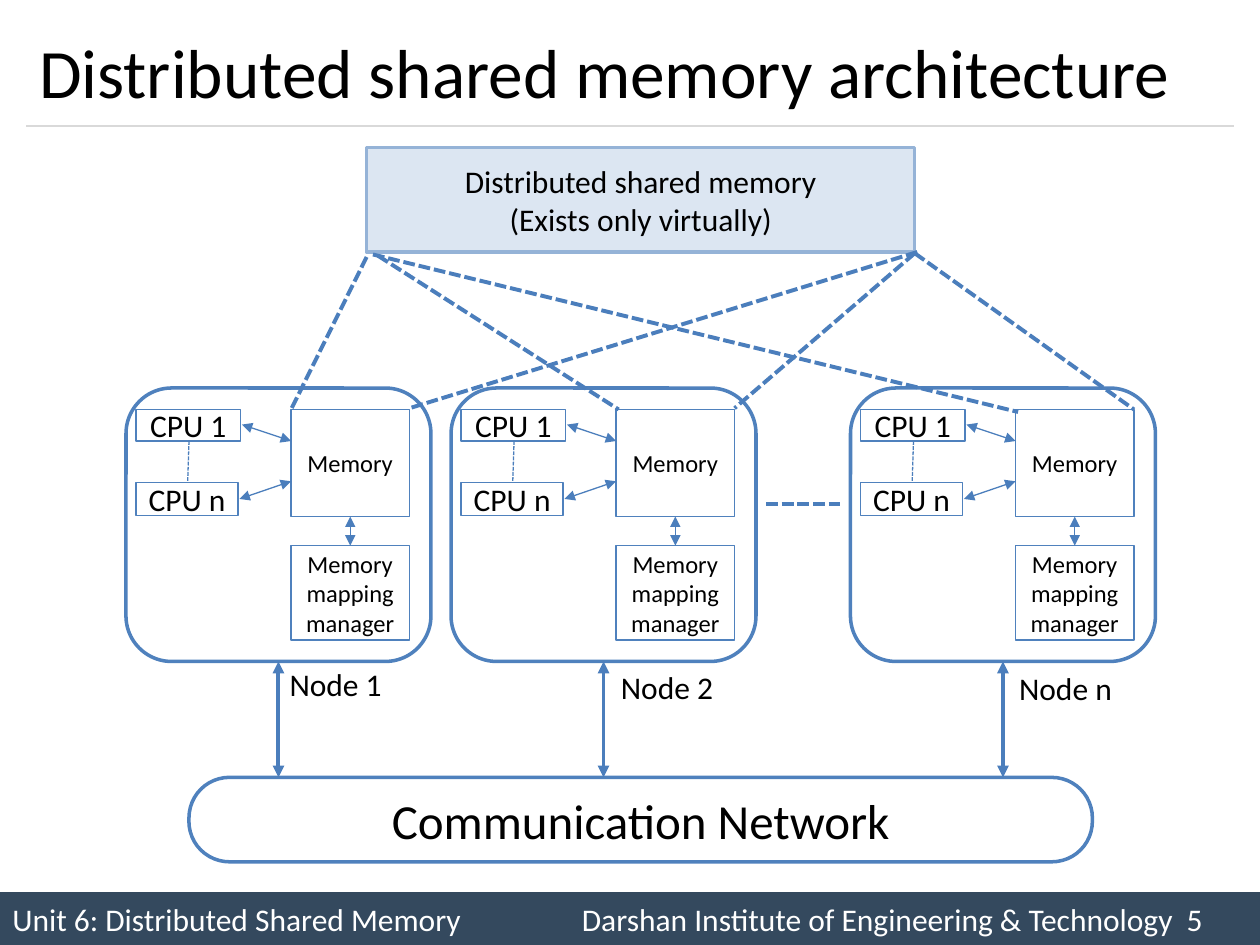
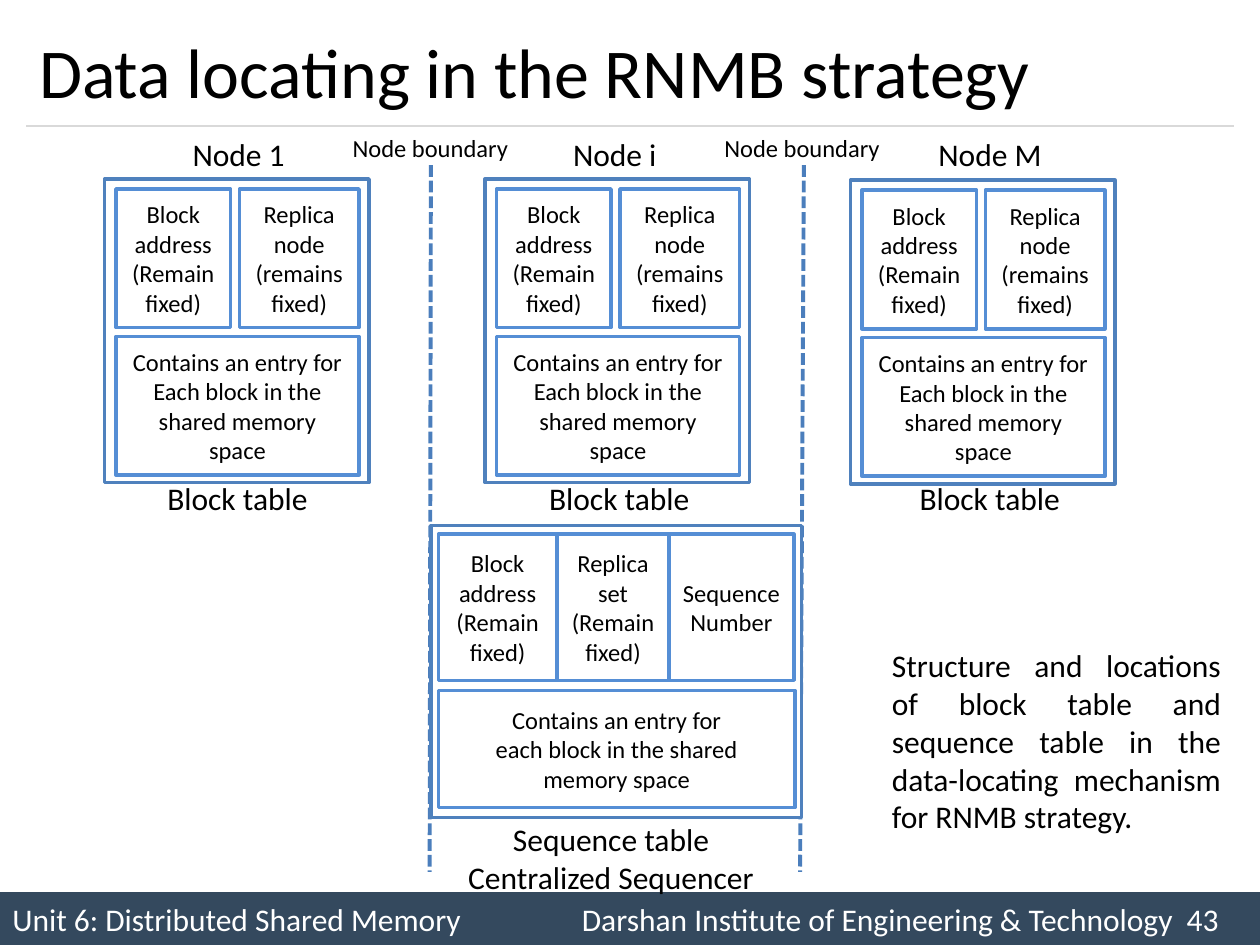
import pptx
import pptx.dml.color
import pptx.enum.dml
import pptx.enum.shapes
import pptx.enum.text
import pptx.oxml.ns
import pptx.util
from lxml import etree

Inches = pptx.util.Inches
Pt = pptx.util.Pt
RGBColor = pptx.dml.color.RGBColor
SHAPE = pptx.enum.shapes.MSO_SHAPE
ALIGN = pptx.enum.text.PP_ALIGN
ANCHOR = pptx.enum.text.MSO_ANCHOR
AUTO_SIZE = pptx.enum.text.MSO_AUTO_SIZE
qn = pptx.oxml.ns.qn

BLACK = RGBColor(0x00, 0x00, 0x00)
WHITE = RGBColor(0xFF, 0xFF, 0xFF)
NAVY = RGBColor(0x34, 0x49, 0x5E)
RULE_GREY = RGBColor(0xD9, 0xD9, 0xD9)
BLUE = RGBColor(0x4F, 0x81, 0xBD)
LINK_BLUE = RGBColor(0x4B, 0x7E, 0xBC)
CELL_BLUE = RGBColor(0x55, 0x8E, 0xD5)
PALE_BLUE = RGBColor(0xDC, 0xE6, 0xF2)
SOFT_BLUE = RGBColor(0x95, 0xB3, 0xD7)

FONT = "Calibri"
UNIT = "Unit 6: Distributed Shared Memory"
INSTITUTE = "Darshan Institute of Engineering & Technology"


def write(tf, text, size=18, color=BLACK, align=ALIGN.LEFT, tabs=()):
    """Fill a text frame, one paragraph per line of text."""
    for i, line in enumerate(text.split("\n")):
        p = tf.paragraphs[0] if i == 0 else tf.add_paragraph()
        p.alignment = align
        if tabs:
            tab_list = etree.SubElement(p._p.get_or_add_pPr(), qn("a:tabLst"))
            for pos in tabs:
                etree.SubElement(tab_list, qn("a:tab"), pos=str(Inches(pos)), algn="l")
        r = p.add_run()
        r.text = line
        r.font.name = FONT
        r.font.size = Pt(size)
        r.font.color.rgb = color


class Deck:
    def __init__(self, prs):
        self.prs = prs
        self.s = None

    def slide(self, title, number, size=40, align=ALIGN.LEFT):
        """Start a slide with its title, rule and footer band."""
        self.s = self.prs.slides.add_slide(self.prs.slide_layouts[5])
        sp = self.s.shapes.title
        sp.left, sp.top = Inches(0.21), Inches(0.12)
        sp.width, sp.height = Inches(9.58), Inches(0.88)
        tf = sp.text_frame
        tf.auto_size = AUTO_SIZE.NONE
        tf.vertical_anchor = ANCHOR.MIDDLE
        write(tf, title, size=size, align=align)
        self.box(0, 7.08, 10, 0.42, f"{UNIT}\t{INSTITUTE}\t{number}", fill=NAVY,
                 line=None, color=WHITE, align=ALIGN.LEFT, tabs=(4.52, 9.32))
        self.line((0.21, 1), (9.79, 1), color=RULE_GREY, width=0.75)

    def box(self, x, y, w, h, text="", fill=WHITE, line=BLUE, width=2,
            shape=SHAPE.RECTANGLE, adj=None, inset=0.1, align=ALIGN.CENTER, **fmt):
        sp = self.s.shapes.add_shape(shape, Inches(x), Inches(y), Inches(w), Inches(h))
        sp.shadow.inherit = False
        sp.fill.solid()
        sp.fill.fore_color.rgb = fill
        if line is None:
            sp.line.fill.background()
        else:
            sp.line.color.rgb = line
            sp.line.width = Pt(width)
        if adj is not None:
            sp.adjustments[0] = adj
        if text:
            tf = sp.text_frame
            tf.word_wrap = True
            tf.vertical_anchor = ANCHOR.MIDDLE
            tf.margin_left = tf.margin_right = Inches(inset)
            write(tf, text, align=align, **fmt)

    def label(self, x, y, w, h, text, wrap=False, **fmt):
        tf = self.s.shapes.add_textbox(Inches(x), Inches(y), Inches(w), Inches(h)).text_frame
        tf.word_wrap = wrap
        write(tf, text, **fmt)

    def line(self, start, end, color=LINK_BLUE, width=2.25, dashed=False, arrows=False):
        c = self.s.shapes.add_connector(
            pptx.enum.shapes.MSO_CONNECTOR.STRAIGHT,
            *(Inches(v) for v in (*start, *end)))
        c.line.color.rgb = color
        c.line.width = Pt(width)
        if dashed:
            c.line.dash_style = pptx.enum.dml.MSO_LINE.SQUARE_DOT
        if arrows:
            for end_tag in ("a:headEnd", "a:tailEnd"):
                etree.SubElement(c.line._get_or_add_ln(), qn(end_tag), type="triangle")
        etree.SubElement(c._element.spPr, qn("a:effectLst"))


def node(deck, x):
    """Draw one node: its CPUs, memory, mapping manager and network link."""
    deck.box(x, 3.08, 2.42, 2.17, shape=SHAPE.ROUNDED_RECTANGLE)
    mem = x + 1.31
    deck.box(mem, 3.25, 0.94, 0.85, "Memory", width=0.75, size=14)
    deck.box(mem, 4.33, 0.94, 0.75, "Memory mapping manager", width=0.75, size=14)
    deck.box(x + 0.08, 3.25, 0.83, 0.25, "CPU 1", width=0.75, inset=0.05)
    deck.box(x + 0.08, 3.83, 0.81, 0.26, "CPU n", width=0.75, inset=0.05)
    deck.line((x + 0.92, 3.37), (mem, 3.5), width=0.75, arrows=True)
    deck.line((x + 0.9, 3.96), (mem, 3.82), width=0.75, arrows=True)
    deck.line((x + 1.78, 4.33), (x + 1.78, 4.1), width=0.75, arrows=True)
    deck.line((x + 0.5, 3.5), (x + 0.49, 3.82), width=0.75, dashed=True)
    deck.line((x + 1.21, 5.25), (x + 1.21, 6.17), arrows=True)


def cell(deck, x, y, w, h, text, **fmt):
    deck.box(x, y, w, h, text, line=CELL_BLUE, size=14, **fmt)


def block_table(deck, x, y):
    deck.box(x, y, 2.1, 2.41)
    cell(deck, x + 0.09, y + 0.08, 0.91, 1.1, "Block address\n(Remain fixed)")
    cell(deck, x + 0.09, y + 1.25, 1.93, 1.1,
         "Contains an entry for\nEach block in the shared memory space", inset=0.12)
    cell(deck, x + 1.07, y + 0.08, 0.95, 1.1, "Replica\nnode\n(remains\nfixed)")


def sequence_table(deck):
    deck.box(3.42, 4.17, 2.94, 2.32)
    cell(deck, 3.48, 4.24, 0.94, 1.16, "Block address\n(Remain fixed)")
    cell(deck, 3.48, 5.48, 2.83, 0.93,
         "Contains an entry for\neach block in the shared memory space", inset=0.15)
    cell(deck, 5.31, 4.24, 0.99, 1.16, "Sequence Number")
    cell(deck, 4.42, 4.24, 0.89, 1.16, "Replica set\n(Remain fixed)")


def architecture_slide(deck):
    deck.slide("Distributed shared memory architecture", 5, size=39.6)
    deck.box(1.5, 6.17, 7.17, 0.67, "Communication Network", size=28,
             shape=SHAPE.ROUNDED_RECTANGLE, adj=0.48)
    deck.box(2.91, 1.17, 4.35, 0.83, "Distributed shared memory\n(Exists only virtually)",
             fill=PALE_BLUE, line=SOFT_BLUE)
    for x in (1, 3.58, 6.75):
        node(deck, x)
    deck.line((6.08, 4), (6.67, 4), dashed=True)
    for start, end in (
        ((2.91, 2.04), (2.31, 3.25)),
        ((3, 2.03), (4.91, 3.25)),
        ((2.96, 2.02), (8.08, 3.27)),
        ((7.28, 2), (3.25, 3.24)),
        ((7.26, 2.01), (5.83, 3.24)),
        ((7.26, 2.01), (9, 3.25)),
    ):
        deck.line(start, end, dashed=True)
    for x, y, name in ((2.2, 5.23, "Node 1"), (4.83, 5.25, "Node 2"), (7.99, 5.26, "Node n")):
        deck.label(x, y, 0.94, 0.4, name)


def rnmb_slide(deck):
    deck.slide("Data locating in the RNMB strategy", 43, align=ALIGN.JUSTIFY)
    deck.label(6.98, 5.08, 2.81, 1.62,
               "Structure and locations of block table and sequence table in the "
               "data-locating mechanism for RNMB strategy.", wrap=True, align=ALIGN.JUSTIFY)
    for top, bottom, text_x in ((3.42, 3.41, 2.7), (6.38, 6.35, 5.65)):
        deck.line((top, 1.31), (bottom, 6.92), dashed=True)
        deck.label(text_x, 1.01, 1.45, 0.34, "Node boundary", size=14)
    for x, y, name, name_w, caption_x in (
        (0.83, 1.42, "Node 1", 0.94, 1.22),
        (3.85, 1.42, "Node i", 0.87, 4.25),
        (6.75, 1.43, "Node M", 1.03, 7.19),
    ):
        deck.label(x + 0.6, 1.02, name_w, 0.4, name)
        block_table(deck, x, y)
        deck.label(caption_x, 3.75, 1.33, 0.4, "Block table", align=ALIGN.CENTER)
    deck.label(3.6, 6.46, 2.5, 0.71, "Sequence table\nCentralized Sequencer",
               align=ALIGN.CENTER)
    sequence_table(deck)


def main():
    prs = pptx.Presentation()
    prs.slide_width, prs.slide_height = Inches(10), Inches(7.5)
    deck = Deck(prs)
    architecture_slide(deck)
    rnmb_slide(deck)
    prs.save("out.pptx")


if __name__ == "__main__":
    main()
